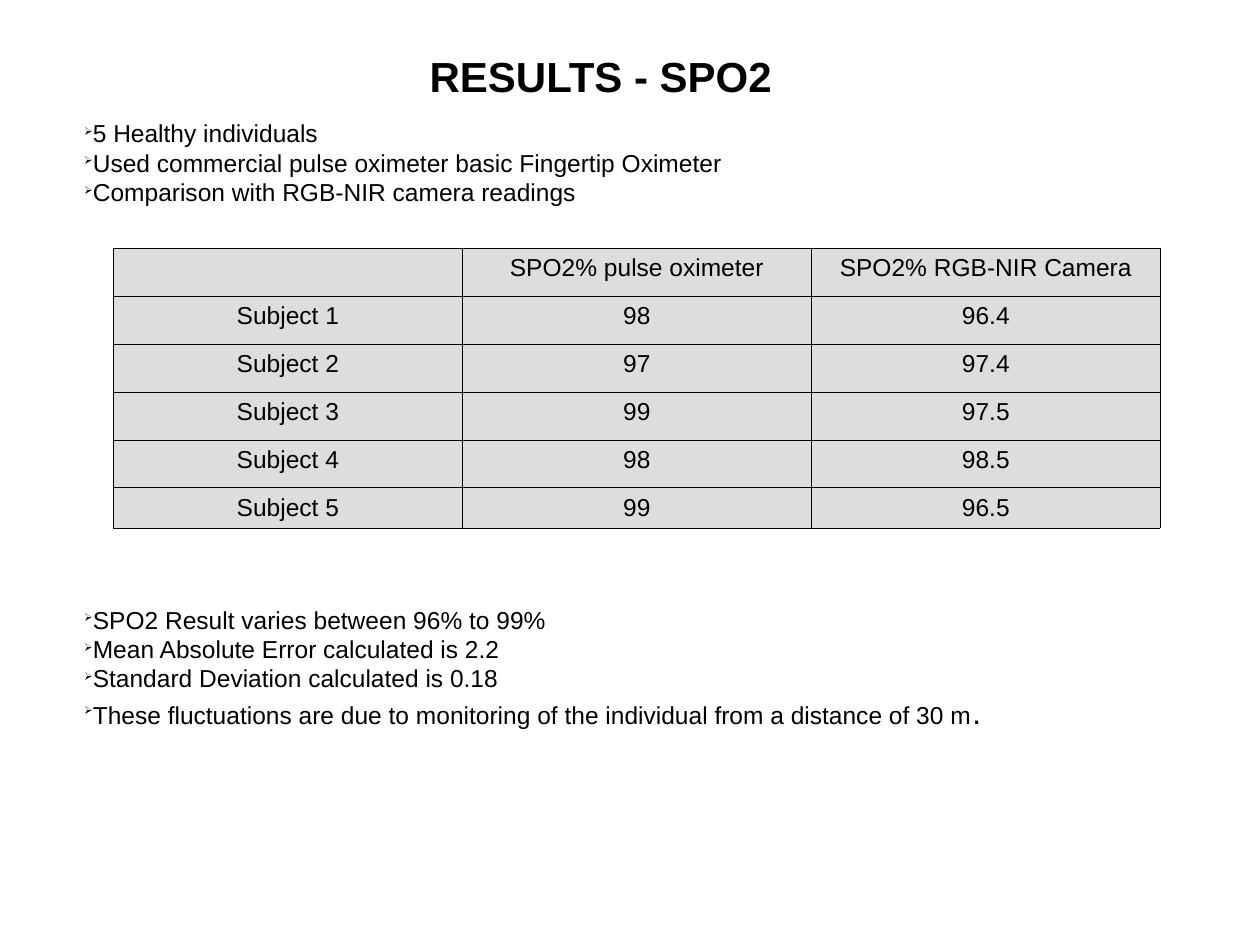
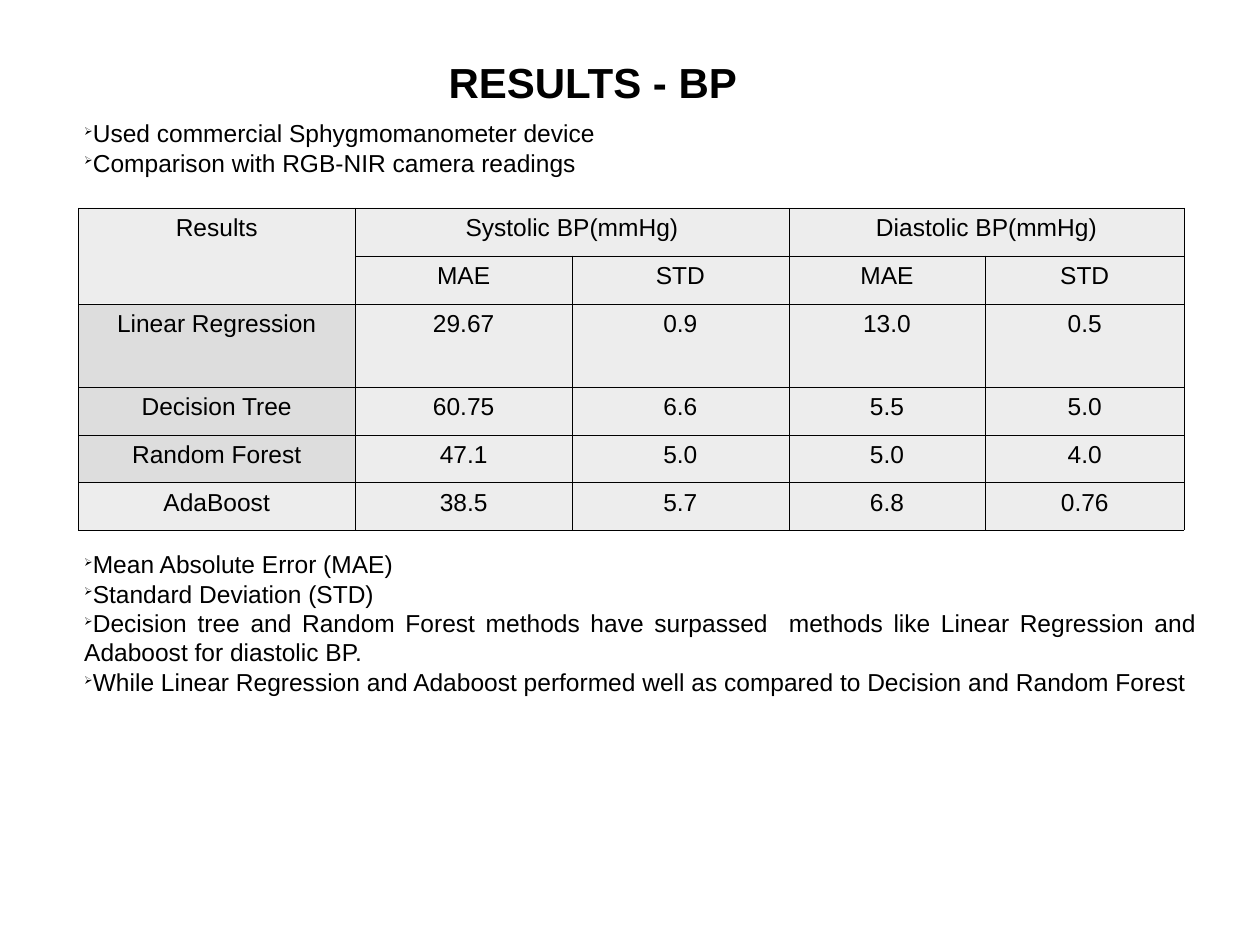
"""Build two result slides that compare camera readings with reference devices."""
from dataclasses import dataclass

from lxml.etree import SubElement
from pptx import Presentation
from pptx.dml.color import RGBColor
from pptx.enum.text import MSO_ANCHOR, MSO_AUTO_SIZE, PP_ALIGN
from pptx.oxml.ns import qn
from pptx.util import Pt

BLACK = RGBColor(0x00, 0x00, 0x00)
GREY = RGBColor(0xDD, 0xDD, 0xDD)
FONT = "Arial"
BODY_SIZE = 14
TITLE_SIZE = 24
TITLE_HEIGHT = 39.6
LIST_LEFT, LIST_WIDTH = 41.04, 650.16
BULLET_INDENT = Pt(-17.28)
BORDER_WIDTH = Pt(0.06)
ROW_HEIGHT = 27.36


@dataclass(frozen=True)
class Title:
    text: str
    left: float
    top: float
    width: float


@dataclass(frozen=True)
class BulletList:
    top: float
    height: float
    items: tuple[str, ...]
    large_ending: str = ""


@dataclass(frozen=True)
class ResultTable:
    left: float
    top: float
    widths: tuple[float, ...]
    heights: tuple[float, ...]
    rows: tuple[tuple[str, ...], ...]
    solid_cells: frozenset[tuple[int, int]]
    merges: tuple[tuple[int, int, int, int], ...] = ()


@dataclass(frozen=True)
class ResultPage:
    title: Title
    table: ResultTable
    lists: tuple[BulletList, ...]


SPO2_ROWS = (
    ("", "SPO2% pulse oximeter", "SPO2% RGB-NIR Camera"),
    ("Subject 1", "98", "96.4"),
    ("Subject 2", "97", "97.4"),
    ("Subject 3", "99", "97.5"),
    ("Subject 4", "98", "98.5"),
    ("Subject 5", "99", "96.5"),
)
BP_ROWS = (
    ("Results", "Systolic BP(mmHg)", "", "Diastolic BP(mmHg)", ""),
    ("", "MAE", "STD", "MAE", "STD"),
    ("Linear Regression", "29.67", "0.9", "13.0", "0.5"),
    ("Decision Tree", "60.75", "6.6", "5.5", "5.0"),
    ("Random Forest", "47.1", "5.0", "5.0", "4.0"),
    ("AdaBoost", "38.5", "5.7", "6.8", "0.76"),
)
PAGES = (
    ResultPage(
        Title("RESULTS - SPO2", 238.32, 25.2, 283.68),
        ResultTable(
            64.8, 141.84, (199.44,) * 3, (ROW_HEIGHT,) * 5 + (23.04,), SPO2_ROWS,
            frozenset((row, column) for row in range(6) for column in range(3)),
        ),
        (
            BulletList(64.08, 72, (
                "5 Healthy individuals",
                "Used commercial pulse oximeter basic Fingertip Oximeter",
                "Comparison with RGB-NIR camera readings",
            )),
            BulletList(342, 136.8, (
                "SPO2 Result varies between 96% to 99%",
                "Mean Absolute Error calculated is 2.2",
                "Standard Deviation calculated is 0.18",
                "These fluctuations are due to monitoring of the individual "
                "from a distance of 30 m",
            ), large_ending="."),
        ),
    ),
    ResultPage(
        Title("RESULTS - BP", 249.12, 28.8, 232.56),
        ResultTable(
            44.64, 118.8, (158.4, 123.84, 123.84, 112.32, 113.76),
            (ROW_HEIGHT,) * 2 + (47.52,) + (ROW_HEIGHT,) * 3, BP_ROWS,
            frozenset((row, 0) for row in (2, 3, 4)),
            merges=((0, 0, 1, 0), (0, 1, 0, 2), (0, 3, 0, 4)),
        ),
        (
            BulletList(64.08, 72, (
                "Used commercial Sphygmomanometer device",
                "Comparison with RGB-NIR camera readings",
            )),
            BulletList(310.32, 180, (
                "Mean Absolute Error (MAE)",
                "Standard Deviation (STD)",
                "Decision tree and Random Forest methods have surpassed  methods "
                "like Linear Regression and Adaboost for diastolic BP.",
                "While Linear Regression and Adaboost performed well as compared "
                "to Decision and Random Forest",
            )),
        ),
    ),
)


def style_paragraph(paragraph, size: float, align: PP_ALIGN, bold: bool = False) -> None:
    """Apply the shared font to a paragraph."""
    paragraph.alignment = align
    font = paragraph.font
    font.name, font.size, font.bold = FONT, Pt(size), bold
    font.color.rgb = BLACK


def add_bullet(paragraph) -> None:
    """Give a paragraph a small black arrowhead bullet."""
    properties = paragraph._p.get_or_add_pPr()
    properties.set("marL", "0")
    properties.set("indent", str(BULLET_INDENT))
    color = SubElement(properties, qn("a:buClr"))
    SubElement(color, qn("a:srgbClr"), val=str(BLACK))
    SubElement(properties, qn("a:buSzPct"), val="45000")
    SubElement(properties, qn("a:buChar"), char="➢")


def draw_title(page, title: Title) -> None:
    """Place and format the title placeholder."""
    box = page.shapes.title
    box.left, box.top = Pt(title.left), Pt(title.top)
    box.width, box.height = Pt(title.width), Pt(TITLE_HEIGHT)
    frame = box.text_frame
    frame.text = title.text
    frame.word_wrap = True
    frame.auto_size = MSO_AUTO_SIZE.NONE
    frame.vertical_anchor = MSO_ANCHOR.TOP
    style_paragraph(frame.paragraphs[0], TITLE_SIZE, PP_ALIGN.LEFT, bold=True)


def draw_list(page, bullets: BulletList) -> None:
    """Draw a justified bullet list."""
    box = page.shapes.add_textbox(
        Pt(LIST_LEFT), Pt(bullets.top), Pt(LIST_WIDTH), Pt(bullets.height))
    frame = box.text_frame
    frame.word_wrap = True
    frame.text = "\n".join(bullets.items)
    for paragraph in frame.paragraphs:
        add_bullet(paragraph)
        style_paragraph(paragraph, BODY_SIZE, PP_ALIGN.JUSTIFY)
    if bullets.large_ending:
        span = frame.paragraphs[-1].add_run()
        span.text = bullets.large_ending
        span.font.size = Pt(18)


def format_cell(cell, solid: bool) -> None:
    """Set the borders, grey fill and text style of a cell."""
    properties = cell._tc.get_or_add_tcPr()
    for side in ("a:lnL", "a:lnR", "a:lnT", "a:lnB"):
        line = SubElement(properties, qn(side), w=str(BORDER_WIDTH))
        line_fill = SubElement(line, qn("a:solidFill"))
        SubElement(line_fill, qn("a:srgbClr"), val=str(BLACK))
    cell.fill.solid()
    cell.fill.fore_color.rgb = GREY
    if not solid:
        color = properties.find(qn("a:solidFill")).find(qn("a:srgbClr"))
        SubElement(color, qn("a:alpha"), val="50000")
    style_paragraph(cell.text_frame.paragraphs[0], BODY_SIZE, PP_ALIGN.CENTER)


def draw_table(page, results: ResultTable) -> None:
    """Draw a bordered result table."""
    table = page.shapes.add_table(
        len(results.rows), len(results.widths), Pt(results.left), Pt(results.top),
        Pt(sum(results.widths)), Pt(sum(results.heights))).table
    table.first_row = table.horz_banding = False
    for column, width in zip(table.columns, results.widths):
        column.width = Pt(width)
    for row, height in zip(table.rows, results.heights):
        row.height = Pt(height)
    for top, left, bottom, right in results.merges:
        table.cell(top, left).merge(table.cell(bottom, right))
    for row_index, values in enumerate(results.rows):
        for column_index, value in enumerate(values):
            cell = table.cell(row_index, column_index)
            cell.text = value
            format_cell(cell, (row_index, column_index) in results.solid_cells)


def main() -> None:
    """Build and save the deck."""
    deck = Presentation()
    deck.slide_width, deck.slide_height = Pt(720), Pt(540)
    for content in PAGES:
        page = deck.slides.add_slide(deck.slide_layouts[5])
        draw_title(page, content.title)
        draw_table(page, content.table)
        for bullets in content.lists:
            draw_list(page, bullets)
    deck.save("out.pptx")


if __name__ == "__main__":
    main()
